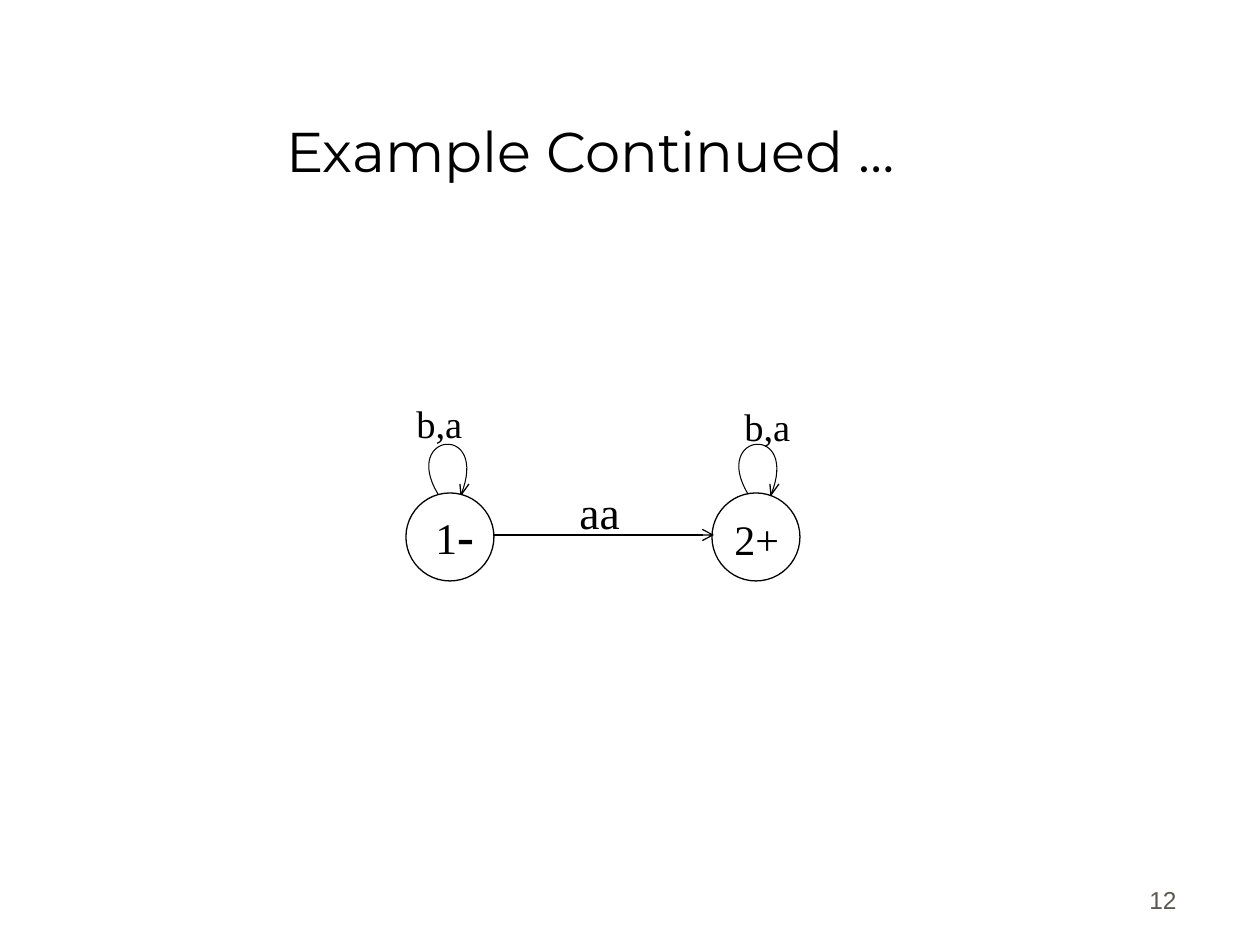
from lxml import etree
from pptx import Presentation
from pptx import util as u
from pptx.dml.color import RGBColor
from pptx.enum import shapes, text
from pptx.oxml.ns import qn

BLACK = RGBColor(0x00, 0x00, 0x00)
WHITE = RGBColor(0xFF, 0xFF, 0xFF)
GRAY = RGBColor(0x5E, 0x57, 0x4E)
SERIF = "Times New Roman"
EMU_PER_PX = 914400 / 126


def px(n):
    return u.Emu(round(n * EMU_PER_PX))


def add_run(p, words, size, font=SERIF, color=BLACK, bold=False):
    r = p.add_run()
    r.text = words
    r.font.size = u.Pt(size)
    r.font.name = font
    r.font.bold = bold
    r.font.color.rgb = color


def cubic(p0, p1, p2, p3, steps=32):
    """Return points along a cubic Bezier curve."""
    ts = [i / steps for i in range(steps + 1)]
    return [tuple((1 - t) ** 3 * a + 3 * (1 - t) ** 2 * t * b
                  + 3 * (1 - t) * t ** 2 * c + t ** 3 * d
                  for a, b, c, d in zip(p0, p1, p2, p3)) for t in ts]


class Diagram:
    """Current slide and the line style of the automaton."""

    line_width = 0.75

    def __init__(self, slide):
        self.s = slide

    def outline(self, sp, width=line_width):
        sp.line.color.rgb = BLACK
        sp.line.width = u.Pt(width)

    def title(self, words, x, y, w, h):
        sp = self.s.shapes.title
        sp.left, sp.top, sp.width, sp.height = map(px, (x, y, w, h))
        tf = sp.text_frame
        tf.auto_size = text.MSO_AUTO_SIZE.NONE
        tf.vertical_anchor = text.MSO_ANCHOR.BOTTOM
        p = tf.paragraphs[0]
        p.alignment = text.PP_ALIGN.CENTER
        add_run(p, words, 32, font="Montserrat")

    def label(self, x, y, w, h, words, size, align=text.PP_ALIGN.LEFT,
              anchor=text.MSO_ANCHOR.TOP, **fmt):
        tf = self.s.shapes.add_textbox(*map(px, (x, y, w, h))).text_frame
        tf.word_wrap = True
        tf.vertical_anchor = anchor
        p = tf.paragraphs[0]
        p.alignment = align
        add_run(p, words, size, **fmt)
        return p

    def state(self, x, y, d):
        sp = self.s.shapes.add_shape(shapes.MSO_SHAPE.OVAL,
                                     *map(px, (x, y, d, d)))
        sp.shadow.inherit = False
        sp.fill.solid()
        sp.fill.fore_color.rgb = WHITE
        self.outline(sp)

    def stroke(self, points, width=line_width):
        """Draw an open, unfilled outline through the points."""
        pts = [(px(x), px(y)) for x, y in points]
        fb = self.s.shapes.build_freeform(*pts[0])
        fb.add_line_segments(pts[1:], close=False)
        sp = fb.convert_to_shape()
        sp.shadow.inherit = False
        sp.fill.background()
        self.outline(sp, width)

    def self_loop(self, x, y):
        """Draw a loop leaving a state at x, y and returning to its right."""
        tip = (x + 23, y + 1)
        self.stroke(cubic((x, y), (x - 37, y - 62), (x + 52, y - 71), tip), 0.6)
        for barb in ((x + 31, y - 10), (x + 22, y - 10)):
            self.stroke([tip, barb])

    def arrow(self, x1, y1, x2, y2):
        cx = self.s.shapes.add_connector(shapes.MSO_CONNECTOR.STRAIGHT,
                                         *map(px, (x1, y1, x2, y2)))
        self.outline(cx)
        etree.SubElement(cx.line._get_or_add_ln(), qn("a:tailEnd"), type="arrow")
        etree.SubElement(cx._element.spPr, qn("a:effectLst"))


def main():
    prs = Presentation()
    prs.slide_width, prs.slide_height = u.Inches(10), u.Inches(7.5)
    d = Diagram(prs.slides.add_slide(prs.slide_layouts[5]))

    d.title("Example Continued …", 55, 32, 1071, 158)
    d.label(927, 858, 262, 63, "12", 14, align=text.PP_ALIGN.RIGHT,
            anchor=text.MSO_ANCHOR.BOTTOM, font="Arial", color=GRAY)

    for loop_x, state_x in ((438, 406), (748, 712)):
        d.self_loop(loop_x, 494)
        d.state(state_x, 493, 88)
    d.arrow(494, 535, 714, 535)

    start = d.label(423, 498, 110, 45, "1", 25)
    add_run(start, "-", 29, bold=True)
    d.label(722, 507, 97, 43, "2+", 24)
    for x, y, words, size in ((404, 394, "b,a", 22), (732, 397, "b,a", 22),
                              (567, 478, "aa", 26)):
        d.label(x, y, 123, 84, words, size)

    prs.save("out.pptx")


if __name__ == "__main__":
    main()
